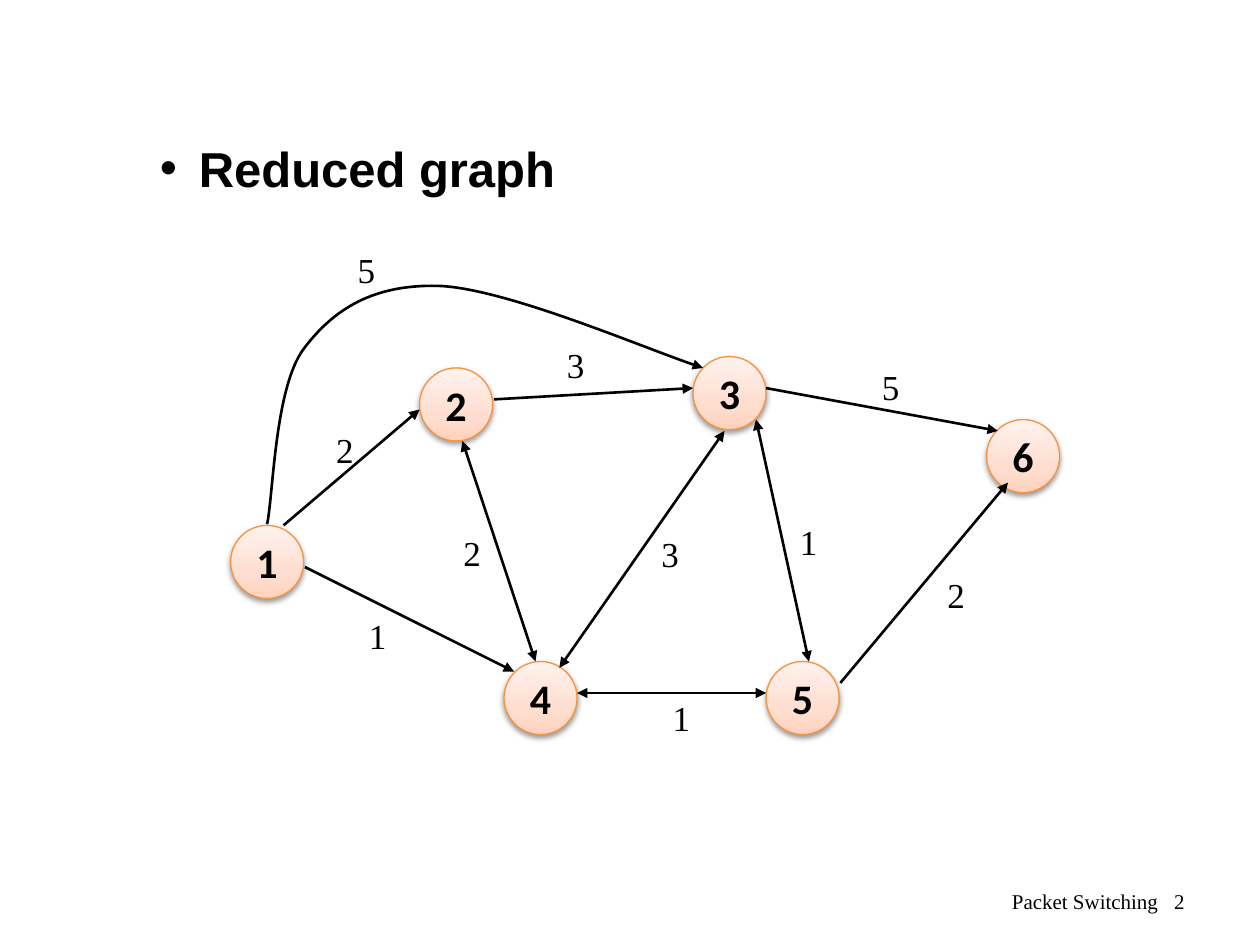
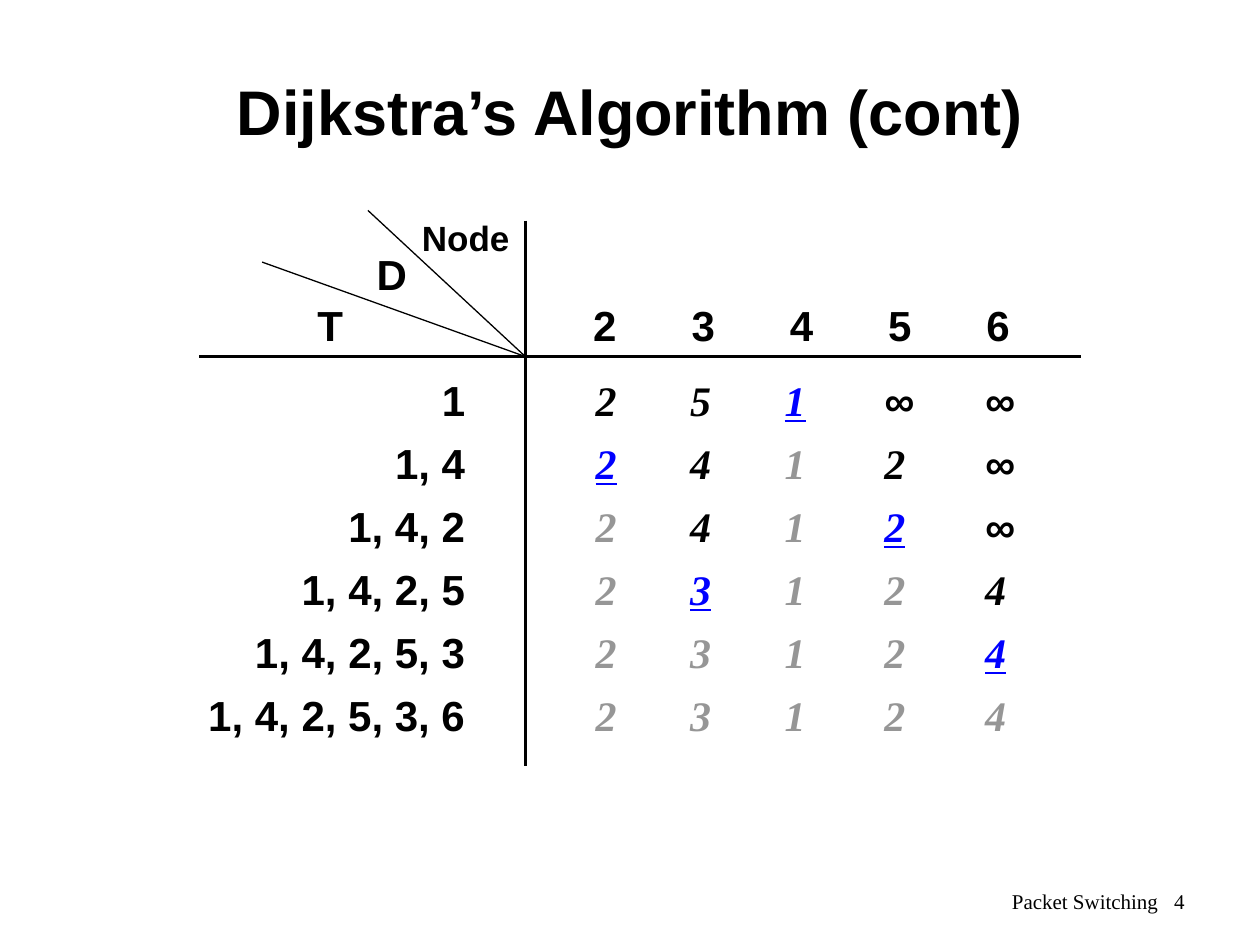
from dataclasses import dataclass

from lxml import etree
from pptx import Presentation
from pptx import util as u
from pptx.dml.color import RGBColor
from pptx.enum import shapes, text
from pptx.oxml.ns import qn


@dataclass(frozen=True)
class Theme:
    ink: str = "000000"
    paper: str = "FFFFFF"
    chosen: str = "0000FF"
    settled: str = "969696"
    node_line: str = "F69240"
    node_stops: tuple = ((0, "FFD2BD"), (35, "FFDED0"), (100, "FFF2ED"))
    sans: str = "Arial"
    serif: str = "Times New Roman"
    node_font: str = "Calibri"
    title: int = 36
    bullet: int = 28
    body: int = 24
    label: int = 20
    footer: int = 12
    thick: float = 1.5
    thin: float = 0.75


@dataclass(frozen=True)
class Box:
    left: float
    top: float
    width: float
    height: float

    def point(self, x, y):
        return u.Inches(self.left + x), u.Inches(self.top + y)

    def area(self, x, y, width, height):
        return Box(self.left + x, self.top + y, width, height)

    def lengths(self):
        return [u.Inches(n) for n in (self.left, self.top, self.width, self.height)]


THEME = Theme()
TITLE_BOX = Box(0.75, 0.25, 8.5, 1.25)
FOOTER_BOX = Box(7.17, 6.95, 2.33, 0.4)
BULLET_BOX = Box(1.17, 1, 3.67, 0.61)
GRAPH_BOX = Box(1.83, 1.92, 6.58, 3.99)
TABLE_BOX = Box(1.55, 1.67, 7.03, 4.41)

NODE_SIZE = 0.58
NODES = {
    "2": (1.5, 1), "3": (3.67, 0.91), "1": (0, 2.25),
    "4": (2.17, 3.33), "6": (6, 1.41), "5": (4.25, 3.33),
}
ONE_WAY, TWO_WAY = ("tailEnd",), ("headEnd", "tailEnd")
EDGES = [
    ((0.42, 2.25), (1.5, 1.33), ONE_WAY, "2", (0.74, 1.43)),
    ((2.09, 1.25), (3.67, 1.16), ONE_WAY, "3", (2.57, 0.76)),
    ((4.25, 1.16), (6.09, 1.5), ONE_WAY, "5", (5.07, 0.93)),
    ((2.75, 3.58), (4.25, 3.58), TWO_WAY, "1", (3.41, 3.56)),
    ((0.59, 2.58), (2.25, 3.41), ONE_WAY, "1", (1, 2.91)),
    ((4.84, 3.5), (6.17, 1.91), ONE_WAY, "2", (5.59, 2.58)),
    ((2.42, 3.33), (1.84, 1.58), TWO_WAY, "2", (1.75, 2.25)),
    ((3.92, 1.5), (2.61, 3.38), TWO_WAY, "3", (3.32, 2.26)),
    ((4.17, 1.41), (4.59, 3.33), TWO_WAY, "1", (4.42, 2.16)),
]
CURVE = [
    (0.29, 2.24), (0.34, 2.01), (0.35, 1.16), (0.58, 0.85), (0.82, 0.53),
    (1.14, 0.33), (1.67, 0.35), (2.2, 0.38), (3.32, 0.86), (3.75, 1),
]
CURVE_COST, CURVE_LABEL = "5", (0.91, 0)

VISIT_ORDER = "142536"
TARGETS = "23456"
DISTANCES = ["251∞∞", "2412∞", "2412∞", "23124", "23124", "23124"]
VALUE_LEFTS = [3.08, 3.83, 4.58, 5.37, 6.17]


def apply(target, **values):
    for name, value in values.items():
        setattr(target, name, value)


def add_span(para, words, size, font, color=THEME.ink, **style):
    span = para.add_run()
    span.text = words
    apply(span.font, size=u.Pt(size), name=font, **style)
    span.font.color.rgb = RGBColor.from_string(color)
    return span


def add_text(page, box, words, size, font, align=text.PP_ALIGN.LEFT, **style):
    frame = page.shapes.add_textbox(*box.lengths()).text_frame
    apply(frame, word_wrap=False, auto_size=text.MSO_AUTO_SIZE.SHAPE_TO_FIT_TEXT)
    para = frame.paragraphs[0]
    para.alignment = align
    add_span(para, words, size, font, **style)
    return frame


def style_line(shape, width, ends=()):
    shape.line.color.rgb = RGBColor.from_string(THEME.ink)
    shape.line.width = u.Pt(width)
    outline = shape._element.spPr.find(qn("a:ln"))
    for end in ends:
        etree.SubElement(outline, qn(f"a:{end}"), type="triangle")


def add_line(page, box, start, end, width=THEME.thick, ends=()):
    line = page.shapes.add_connector(
        shapes.MSO_CONNECTOR.STRAIGHT, *box.point(*start), *box.point(*end))
    style_line(line, width, ends)
    etree.SubElement(line._element.spPr, qn("a:effectLst"))


def add_curve(page, box, points):
    start, *rest = [box.point(*point) for point in points]
    builder = page.shapes.build_freeform(*start)
    builder.add_line_segments(rest, close=False)
    curve = builder.convert_to_shape()
    curve.shadow.inherit = False
    curve.fill.background()
    style_line(curve, THEME.thick, ONE_WAY)
    outline = curve._element.xpath(".//a:path")[0]
    segments = outline.findall(qn("a:lnTo"))
    for first in range(0, len(segments), 3):
        bezier = etree.SubElement(outline, qn("a:cubicBezTo"))
        for segment in segments[first:first + 3]:
            bezier.append(segment[0])
            outline.remove(segment)


def add_node(page, box, name):
    node = page.shapes.add_shape(shapes.MSO_SHAPE.OVAL, *box.lengths())
    node.fill.gradient()
    node.fill.gradient_angle = 90
    stops = node._element.xpath(".//a:gsLst")[0]
    for stop in list(stops):
        stops.remove(stop)
    for position, color in THEME.node_stops:
        stop = etree.SubElement(stops, qn("a:gs"), pos=str(position * 1000))
        etree.SubElement(stop, qn("a:srgbClr"), val=color)
    node.line.color.rgb = RGBColor.from_string(THEME.node_line)
    node.line.width = u.Pt(THEME.thin)
    node.shadow.inherit = False
    effects = node._element.spPr.find(qn("a:effectLst"))
    shadow = etree.SubElement(
        effects, qn("a:outerShdw"), blurRad=str(u.Pt(3.1)), dist=str(u.Pt(1.6)),
        dir="5400000", rotWithShape="0")
    shade = etree.SubElement(shadow, qn("a:srgbClr"), val=THEME.ink)
    etree.SubElement(shade, qn("a:alpha"), val="38000")
    frame = node.text_frame
    apply(frame, word_wrap=False, vertical_anchor=text.MSO_ANCHOR.MIDDLE)
    para = frame.paragraphs[0]
    para.alignment = text.PP_ALIGN.CENTER
    add_span(para, name, THEME.body, THEME.node_font, bold=True)


def add_title(page, box, words):
    title = page.shapes.title
    left, top, width, height = box.lengths()
    apply(title, left=left, top=top, width=width, height=height)
    apply(title.text_frame, vertical_anchor=text.MSO_ANCHOR.MIDDLE, word_wrap=True)
    para = title.text_frame.paragraphs[0]
    para.alignment = text.PP_ALIGN.CENTER
    add_span(para, words, THEME.title, THEME.sans, bold=True)


def add_footer(page, box, number):
    frame = page.shapes.add_textbox(*box.lengths()).text_frame
    apply(frame, word_wrap=True, vertical_anchor=text.MSO_ANCHOR.MIDDLE)
    para = frame.paragraphs[0]
    para.alignment = text.PP_ALIGN.RIGHT
    add_span(para, "Packet Switching", THEME.footer, THEME.serif)
    gap = add_span(para, " ", THEME.footer, THEME.serif)
    gap.font._element.set("spc", "600")
    add_span(para, str(number), THEME.footer, THEME.serif)


def add_bullet(page, box, words):
    frame = add_text(page, box, words, THEME.bullet, THEME.sans, bold=True)
    frame.word_wrap = True
    para = frame.paragraphs[0]
    apply(para, line_spacing=1.1, space_before=u.Pt(0.2 * THEME.bullet))
    indent = u.Inches(0.31)
    props = para._p.get_or_add_pPr()
    props.set("marL", str(indent))
    props.set("indent", str(-indent))
    etree.SubElement(props, qn("a:buFont"), typeface=THEME.sans)
    etree.SubElement(props, qn("a:buChar"), char="•")


def add_graph(page, box):
    for name, (x, y) in NODES.items():
        add_node(page, box.area(x, y, NODE_SIZE, NODE_SIZE), name)
    for start, end, ends, _, _ in EDGES:
        add_line(page, box, start, end, ends=ends)
    add_curve(page, box, CURVE)
    costs = [(CURVE_COST, CURVE_LABEL)] + [edge[3:] for edge in EDGES]
    for cost, (x, y) in costs:
        add_text(page, box.area(x, y, 0.34, 0.43), cost, THEME.label, THEME.serif)


def add_distance_header(page, box):
    corner = (2.62, 1.16)
    add_line(page, box, (0.03, 1.16), (box.width, 1.16))
    add_line(page, box, (2.62, 0.08), (2.62, box.height))
    for end in ((1.37, 0), (0.53, 0.41)):
        add_line(page, box, corner, end, THEME.thin)
    heads = [
        ("T", 0.87, 0.66, 0.4, 0.5, THEME.body),
        ("D", 1.34, 0.25, 0.44, 0.5, THEME.body),
        ("Node", 1.7, 0, 0.9, 0.43, THEME.label),
    ]
    heads += [(target, 3.06 + 0.78 * column, 0.66, 0.39, 0.5, THEME.body)
              for column, target in enumerate(TARGETS)]
    for words, x, y, width, height, size in heads:
        add_text(page, box.area(x, y, width, height), words, size, THEME.sans, bold=True)


def value_style(target, step):
    if target in VISIT_ORDER[:step + 1]:
        return {"color": THEME.settled}
    if target == VISIT_ORDER[step + 1]:
        return {"color": THEME.chosen, "underline": True}
    return {}


def add_distance_rows(page, box):
    for step, values in enumerate(DISTANCES):
        top = 1.25 + 0.5 * step
        width = 0.39 + 0.37 * step
        add_text(page, box.area(2.24 - width, top, width, 0.5),
                 ", ".join(VISIT_ORDER[:step + 1]), THEME.body, THEME.sans,
                 align=text.PP_ALIGN.RIGHT, bold=True)
        for target, value, left in zip(TARGETS, values, VALUE_LEFTS):
            width, font = (0.44, THEME.sans) if value == "∞" else (0.37, THEME.serif)
            add_text(page, box.area(left, top, width, 0.5), value, THEME.body, font,
                     bold=True, italic=True, **value_style(target, step))


def add_page(deck, layout, number):
    page = deck.slides.add_slide(deck.slide_layouts[layout])
    page.background.fill.solid()
    page.background.fill.fore_color.rgb = RGBColor.from_string(THEME.paper)
    add_footer(page, FOOTER_BOX, number)
    return page


def graph_slide(deck):
    page = add_page(deck, 6, 2)
    add_graph(page, GRAPH_BOX)
    add_bullet(page, BULLET_BOX, "Reduced graph")


def distance_slide(deck):
    page = add_page(deck, 5, 4)
    add_title(page, TITLE_BOX, "Dijkstra’s Algorithm (cont)")
    add_distance_header(page, TABLE_BOX)
    add_distance_rows(page, TABLE_BOX)


deck = Presentation()
apply(deck, slide_width=u.Inches(10), slide_height=u.Inches(7.5))
graph_slide(deck)
distance_slide(deck)
deck.save("out.pptx")
